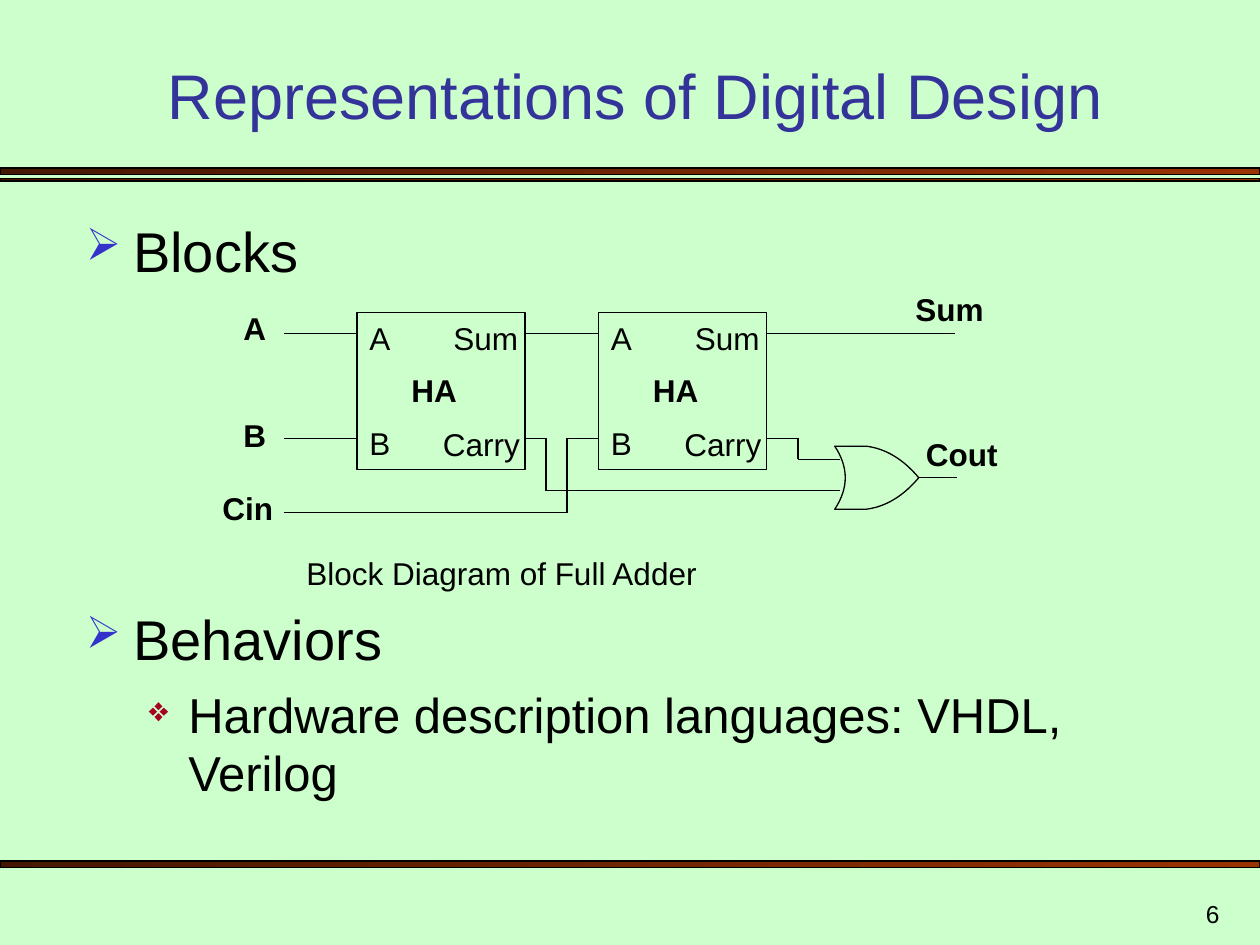
from collections import namedtuple
from itertools import pairwise

from lxml.etree import SubElement
from pptx import Presentation
from pptx.dml.color import RGBColor
from pptx.enum.shapes import MSO_CONNECTOR, MSO_SHAPE
from pptx.enum.text import MSO_ANCHOR, MSO_AUTO_SIZE, PP_ALIGN
from pptx.oxml.ns import qn
from pptx.util import Pt

Box = namedtuple("Box", "left top width height")
Bullet = namedtuple("Bullet", "char color percent margin hang size before level")

FONT = "Arial"
BLACK = "000000"
MAIN = Bullet("➢", "3333CC", 80, 27, 27, 32, 8, 0)
DETAIL = Bullet("❖", "A50021", 70, 58.5, 22.5, 28, 7, 1)


def color(value):
    return RGBColor.from_string(value)


def in_points(box):
    return [Pt(length) for length in box]


def style_line(line):
    line.color.rgb = color(BLACK)
    line.width = Pt(0.75)


def style_runs(para, size, ink=BLACK, bold=False):
    for span in para.runs:
        span.font.name = FONT
        span.font.size = Pt(size)
        span.font.bold = bold
        span.font.color.rgb = color(ink)


def add_text(page, box, text, size, ink=BLACK, bold=False,
             align=PP_ALIGN.LEFT, anchor=MSO_ANCHOR.TOP):
    frame = page.shapes.add_textbox(*in_points(box)).text_frame
    frame.word_wrap = True
    frame.vertical_anchor = anchor
    frame.text = text
    para = frame.paragraphs[0]
    para.alignment = align
    style_runs(para, size, ink, bold)
    return frame


def add_label(page, box, text, bold=False):
    frame = add_text(page, box, text, 18, bold=bold)
    frame.auto_size = MSO_AUTO_SIZE.SHAPE_TO_FIT_TEXT
    frame.paragraphs[0].space_before = Pt(11.2)


def add_wire(page, *points):
    """Join the points with straight segments."""
    for start, end in pairwise(points):
        wire = page.shapes.add_connector(
            MSO_CONNECTOR.STRAIGHT, *in_points(start + end))
        style_line(wire.line)
        SubElement(wire._element.spPr, qn("a:effectLst"))


def add_bar(page, box):
    bar = page.shapes.add_shape(MSO_SHAPE.RECTANGLE, *in_points(box))
    bar.shadow.inherit = False
    bar.fill.gradient()
    bar.fill.gradient_angle = 0
    for stop, shade in zip(bar.fill.gradient_stops, ("461700", "993300")):
        stop.color.rgb = color(shade)
    style_line(bar.line)


def add_bullets(page, box, items):
    frame = add_text(page, box, "", 18)
    for index, (text, bullet) in enumerate(items):
        para = frame.add_paragraph() if index else frame.paragraphs[0]
        para.text = text
        para.level = bullet.level
        para.space_before = Pt(bullet.before)
        style_runs(para, bullet.size)
        props = para._p.get_or_add_pPr()
        props.set("marL", str(Pt(bullet.margin)))
        props.set("indent", str(-Pt(bullet.hang)))
        tint = SubElement(props, qn("a:buClr"))
        SubElement(tint, qn("a:srgbClr"), val=bullet.color)
        SubElement(props, qn("a:buSzPct"), val=str(bullet.percent * 1000))
        SubElement(props, qn("a:buChar"), char=bullet.char)


def add_half_adder(page, box):
    left, top = box.left, box.top
    block = page.shapes.add_shape(MSO_SHAPE.RECTANGLE, *in_points(box))
    block.shadow.inherit = False
    block.fill.background()
    style_line(block.line)
    add_label(page, Box(left + 24, top + 30, 42, 28.5), "HA", bold=True)
    # Input and output pins
    add_label(page, Box(left, top, 24, 28.5), "A")
    add_label(page, Box(left, top + 60, 24, 28.5), "B")
    add_label(page, Box(left + 48, top, 54, 28.5), "Sum")
    add_label(page, Box(left + 42, top + 61, 60, 28.5), "Carry")


def curve(start, control, end, steps=16):
    """Points of a quadratic curve, without its start."""
    for step in range(1, steps + 1):
        t = step / steps
        yield tuple((1 - t) ** 2 * a + 2 * t * (1 - t) * b + t * t * c
                    for a, b, c in zip(start, control, end))


def add_or_gate(page, box):
    left, top, width, height = box
    middle, bottom = top + height / 2, top + height
    shoulder, bend = left + 18, left + 34.5
    tip = (left + width, middle)
    outline = [
        (shoulder, top),
        *curve((shoulder, top), (bend, top + 2), tip),
        *curve(tip, (bend, bottom - 2), (shoulder, bottom)),
        (left, bottom),
        *curve((left, bottom), (left + 12, middle), (left, top)),
    ]
    builder = page.shapes.build_freeform(
        Pt(outline[0][0]), Pt(outline[0][1]), scale=1)
    builder.add_line_segments([in_points(point) for point in outline[1:]])
    gate = builder.convert_to_shape()
    gate.shadow.inherit = False
    gate.fill.background()
    style_line(gate.line)


def add_full_adder(page, box):
    left, top = box.left, box.top
    first = Box(left + 84, top + 16.5, 96, 90)
    second = first._replace(left=first.left + 138)
    gate = Box(left + 357, top + 93, 48, 36)
    first_right, second_right = first.left + 96, second.left + 96
    sum_y, carry_y = first.top + 12, first.top + 72
    carry_in_y, first_carry_y, second_carry_y = top + 131, top + 118.5, top + 100.5
    wire_left, gate_in = left + 42, gate.left + 3
    gate_out = (gate.left + gate.width, gate.top + gate.height / 2)

    # Blocks and gate
    add_half_adder(page, first)
    add_half_adder(page, second)
    add_or_gate(page, gate)

    # Inputs and sums
    add_wire(page, (wire_left, sum_y), (first.left, sum_y))
    add_wire(page, (wire_left, carry_y), (first.left, carry_y))
    add_wire(page, (first_right, sum_y), (second.left, sum_y))
    add_wire(page, (second_right, sum_y), (left + 426, sum_y))

    # Carries
    drop = first_right + 12
    add_wire(page, (first_right, carry_y), (drop, carry_y),
             (drop, first_carry_y), (gate_in, first_carry_y))
    rise = drop + 12
    add_wire(page, (wire_left, carry_in_y), (rise, carry_in_y),
             (rise, carry_y), (second.left, carry_y))
    step = second_right + 18
    add_wire(page, (second_right, carry_y), (step, carry_y),
             (step, second_carry_y), (gate_in, second_carry_y))
    add_wire(page, gate_out, (left + 427, gate_out[1]))

    # Signal names
    for text, across, down, width in (
            ("A", 12, 11, 30), ("B", 12, 72, 30), ("Cin", 0, 114, 48),
            ("Sum", 396, 0, 66), ("Cout", 402, 83, 60)):
        add_label(page, Box(left + across, top + down, width, 28.5), text, bold=True)
    add_label(page, Box(left + 48, top + 151, 396, 28.5), "Block Diagram of Full Adder")


def add_frame(page, box):
    """Background, rules, title and page number."""
    page.background.fill.solid()
    page.background.fill.fore_color.rgb = color("CCFFCC")
    for top, height in ((96, 3.6), (102, 1.5), (492, 3.6)):
        add_bar(page, Box(box.left, top, box.width, height))
    add_text(page, Box(42, 30, 642, 49), "Representations of Digital Design", 36,
             "333399", align=PP_ALIGN.CENTER, anchor=MSO_ANCHOR.BOTTOM)
    add_text(page, Box(554, 504, 150, 30), "6", 14,
             align=PP_ALIGN.RIGHT, anchor=MSO_ANCHOR.BOTTOM)


def main():
    deck = Presentation()
    deck.slide_width, deck.slide_height = Pt(720), Pt(540)
    page = deck.slides.add_slide(deck.slide_layouts[6])
    add_frame(page, Box(0, 0, 720, 540))
    add_bullets(page, Box(42, 120, 642, 66), [("Blocks", MAIN)])
    add_full_adder(page, Box(120, 162, 462, 180))
    add_bullets(page, Box(42, 342, 642, 138), [
        ("Behaviors", MAIN),
        ("Hardware description languages: VHDL, Verilog", DETAIL)])
    deck.save("out.pptx")


if __name__ == "__main__":
    main()
